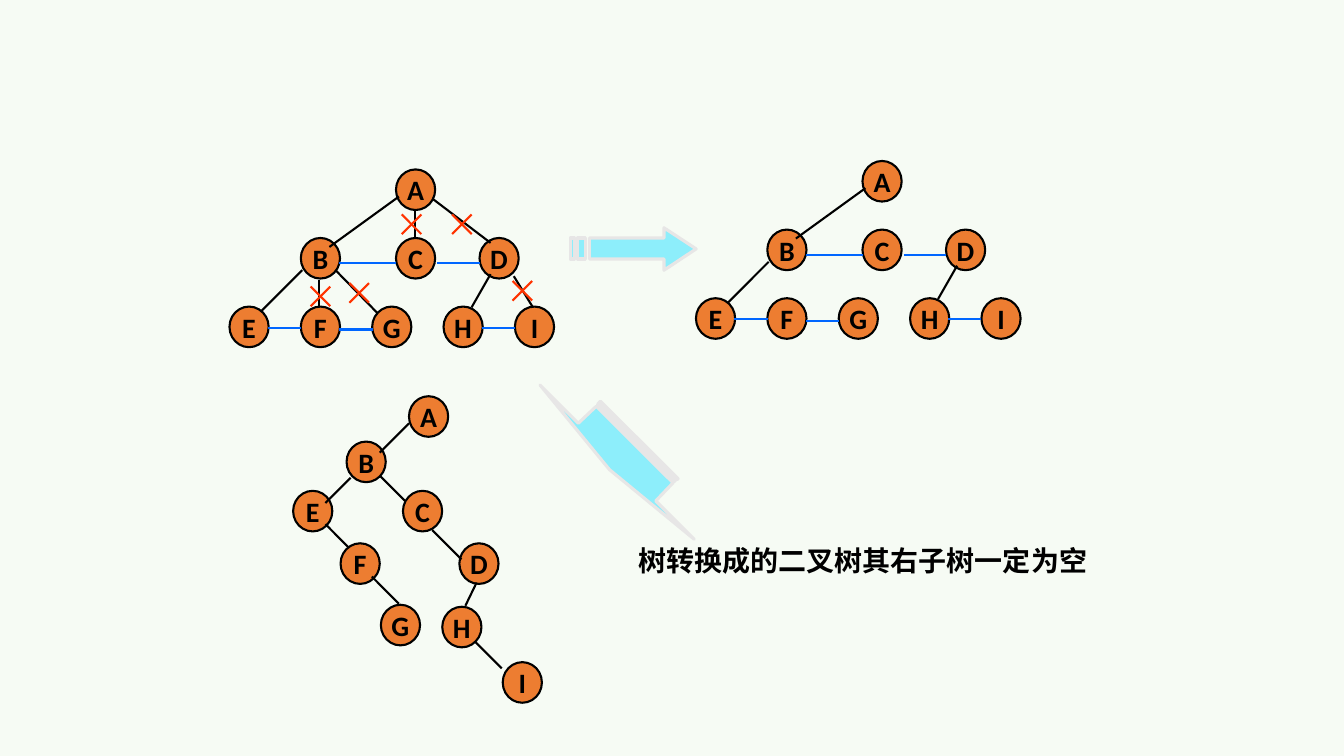
"""Build a slide that turns a tree into a binary tree in two steps."""
from lxml.etree import SubElement
from pptx import Presentation
from pptx.dml.color import RGBColor
from pptx.enum.shapes import MSO_CONNECTOR, MSO_SHAPE
from pptx.enum.text import MSO_ANCHOR, PP_ALIGN
from pptx.oxml.ns import qn
from pptx.util import Pt

BACKGROUND = RGBColor(0xF6, 0xFB, 0xF4)
ORANGE = RGBColor(0xED, 0x7D, 0x31)
BLACK = RGBColor(0x00, 0x00, 0x00)
BLUE = RGBColor(0x00, 0x66, 0xFF)
RED = RGBColor(0xFF, 0x33, 0x00)
CYAN = RGBColor(0x8D, 0xEE, 0xFB)
GREY = RGBColor(0xE7, 0xE6, 0xE6)

NODE_WIDTH, NODE_HEIGHT = 28, 29
CROSS_REACH = 7
FOREST_SHIFT = (333.4, -6)

LEAF_LEFTS = {name: 164 + 51 * index for index, name in enumerate("EFGHI")}
TREE_NODES = {
    "A": (283, 121),
    "B": (LEAF_LEFTS["F"], 170), "C": (283, 170), "D": (342.7, 170),
    **{name: (left, 219) for name, left in LEAF_LEFTS.items()},
}
FIRST_CHILD_EDGES = [
    (285.1, 140.4, 235.4, 176.4),
    (216, 193, 186.5, 222.5),
    (350.6, 195.8, 337, 219.6),
]
CUT_EDGES = [
    (296.6, 149.8, 296.6, 170.6),
    (308.9, 141.8, 350.6, 173.5),
    (228.2, 200.2, 228.2, 219.6),
    (239.8, 193, 270, 223.9),
    (367.2, 197.3, 380.9, 219.6),
]
SIBLING_EDGES = [
    (242.6, 188, 283, 188),
    (312.5, 188, 342.7, 188),
    (191.5, 234, 215.3, 234),
    (242.6, 235.4, 266.4, 235.4),
    (344.2, 234, 368, 234),
]
CROSS_CENTERS = [(294.1, 160.2), (330.1, 160.2), (229, 211.7), (256.7, 209.2), (373.3, 207.7)]

BINARY_NODES = {
    "A": (292.3, 283), "B": (247.7, 315.4), "C": (288, 350.6),
    "D": (328.3, 388.1), "E": (209.5, 350.6), "F": (243.4, 388.1),
    "G": (272.2, 432), "H": (316.1, 433.4), "I": (359.3, 473),
}
BINARY_EDGES = [
    (292.3, 302.4, 271.4, 323.3),
    (250.6, 341.3, 232.6, 359.3),
    (232.6, 374.4, 249.1, 391),
    (265.7, 411.8, 285.1, 431.3),
    (271.4, 339.8, 289.4, 357.8),
    (308.9, 378.7, 329.8, 399.6),
    (340.6, 416.2, 332.6, 432.7),
    (339.1, 457.9, 358.6, 477.4),
]

RIGHT_ARROW = [
    [(421.2, 170), (474.5, 170), (474.5, 162.7), (497.5, 177.8),
     (474.5, 193), (474.5, 185), (421.2, 185)],
    [(407.5, 170), (410.4, 170), (410.4, 185), (407.5, 185)],
    [(412.6, 170), (418.3, 170), (418.3, 185), (412.6, 185)],
]
DOWN_LEFT_ARROW = [
    [(426.2, 290.2), (413.3, 302.4), (385.9, 275), (435.6, 335.5),
     (496.1, 385.2), (468.7, 357.8), (481, 344.9)],
    [(429.1, 286.6), (428.4, 287.3), (483.8, 342.7), (484.6, 342)],
    [(427.7, 288), (427, 289.4), (481.7, 344.2), (483.1, 342.7)],
]


def paint(shape, fill, line, width):
    """Give a shape a flat fill and an outline."""
    shape.shadow.inherit = False
    shape.fill.solid()
    shape.fill.fore_color.rgb = fill
    shape.line.color.rgb = line
    shape.line.width = Pt(width)


def write_label(shape, text):
    """Write bold centred text into a shape."""
    text_frame = shape.text_frame
    text_frame.text = text
    text_frame.word_wrap = False
    text_frame.vertical_anchor = MSO_ANCHOR.MIDDLE
    paragraph = text_frame.paragraphs[0]
    paragraph.alignment = PP_ALIGN.CENTER
    font = paragraph.runs[0].font
    font.name = "Calibri"
    font.size = Pt(20)
    font.bold = True
    font.color.rgb = BLACK


def add_nodes(slide, nodes, shift=(0, 0)):
    """Draw the lettered circles of a tree."""
    for name, (left, top) in nodes.items():
        node = slide.shapes.add_shape(
            MSO_SHAPE.OVAL, Pt(left + shift[0]), Pt(top + shift[1]),
            Pt(NODE_WIDTH), Pt(NODE_HEIGHT))
        paint(node, ORANGE, BLACK, 1.5)
        write_label(node, name)


def add_edges(slide, edges, color, shift=(0, 0)):
    """Draw straight lines in one colour."""
    across, down = shift
    for start_x, start_y, end_x, end_y in edges:
        edge = slide.shapes.add_connector(
            MSO_CONNECTOR.STRAIGHT, Pt(start_x + across), Pt(start_y + down),
            Pt(end_x + across), Pt(end_y + down))
        edge.line.color.rgb = color
        edge.line.width = Pt(1.5)
        SubElement(edge._element.spPr, qn("a:effectLst"))


def add_cross(slide, x, y):
    """Mark a removed edge with a red cross."""
    left, right = x - CROSS_REACH, x + CROSS_REACH
    top, bottom = y - CROSS_REACH, y + CROSS_REACH
    add_edges(slide, [(left, top, right, bottom), (right, top, left, bottom)], RED)


def add_striped_arrow(slide, outlines):
    """Draw an arrow made of several closed outlines."""
    contours = [[(Pt(x), Pt(y)) for x, y in outline] for outline in outlines]
    builder = slide.shapes.build_freeform(*contours[0][0])
    builder.add_line_segments(contours[0][1:], close=True)
    for contour in contours[1:]:
        builder.move_to(*contour[0])
        builder.add_line_segments(contour[1:], close=True)
    paint(builder.convert_to_shape(), CYAN, GREY, 2.25)


def main():
    """Build and save the slide."""
    presentation = Presentation()
    presentation.slide_width = Pt(960.5)
    presentation.slide_height = Pt(540)
    slide = presentation.slides.add_slide(presentation.slide_layouts[6])
    slide.background.fill.solid()
    slide.background.fill.fore_color.rgb = BACKGROUND

    for shift in ((0, 0), FOREST_SHIFT):
        add_nodes(slide, TREE_NODES, shift)
        add_edges(slide, FIRST_CHILD_EDGES, BLACK, shift)
        add_edges(slide, SIBLING_EDGES, BLUE, shift)
    add_edges(slide, CUT_EDGES, BLACK)
    for x, y in CROSS_CENTERS:
        add_cross(slide, x, y)

    add_nodes(slide, BINARY_NODES)
    add_edges(slide, BINARY_EDGES, BLACK)

    conclusion = slide.shapes.add_textbox(Pt(449.3), Pt(384.5), Pt(334.8), Pt(31.7))
    write_label(conclusion, "树转换成的二叉树其右子树一定为空")
    for outlines in (RIGHT_ARROW, DOWN_LEFT_ARROW):
        add_striped_arrow(slide, outlines)

    presentation.save("out.pptx")


if __name__ == "__main__":
    main()
